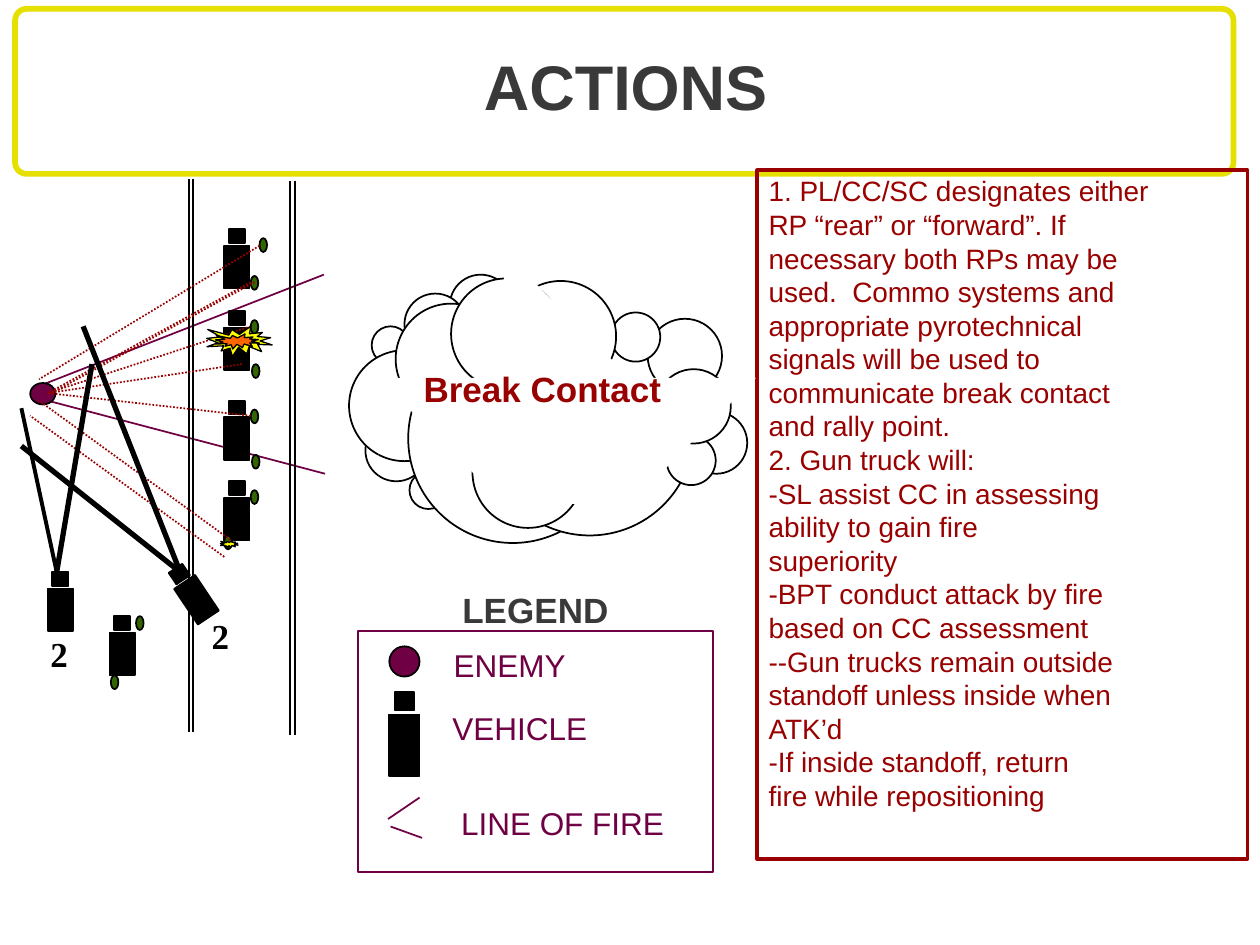
import math

import pptx
import pptx.util
from lxml import etree
from pptx.dml.color import RGBColor
from pptx.enum.dml import MSO_LINE
from pptx.enum.shapes import MSO_CONNECTOR, MSO_SHAPE
from pptx.enum.text import MSO_ANCHOR, MSO_AUTO_SIZE, PP_ALIGN
from pptx.oxml.ns import qn
from pptx.util import Inches, Pt

BLACK, WHITE, GREY = "000000", "FFFFFF", "393939"
PLUM, RED, GREEN = "6E0043", "990000", "336600"
YELLOW, ORANGE, FRAME = "FFFF00", "FF6600", "E5E000"

# Content
title_text = "ACTIONS"
steps = [
    "1. PL/CC/SC designates either", "RP “rear” or “forward”. If",
    "necessary both RPs may be", "used.  Commo systems and",
    "appropriate pyrotechnical", "signals will be used to",
    "communicate break contact", "and rally point.",
    "2. Gun truck will:", "-SL assist CC in assessing",
    "ability to gain fire", "superiority",
    "-BPT conduct attack by fire", "based on CC assessment",
    "--Gun trucks remain outside", "standoff unless inside when",
    "ATK’d", "-If inside standoff, return", "fire while repositioning",
]
# Labels: text, box, size, colour, bold, font
labels = [
    ("ENEMY", (3.5, 5.08, 1.09, 0.4), 18, PLUM, False, "Arial"),
    ("VEHICLE", (3.49, 5.58, 1.27, 0.4), 18, PLUM, False, "Arial"),
    ("LINE OF FIRE", (3.56, 6.33, 1.81, 0.4), 18, PLUM, False, "Arial"),
    ("LEGEND", (3.57, 4.62, 1.36, 0.43), 20, GREY, True, "Arial"),
    ("Break Contact", (3.22, 2.87, 2.17, 0.43), 20, RED, True, "Arial"),
    ("2", (0.3, 4.97, 0.34, 0.44), 20, BLACK, True, "Times New Roman"),
    ("2", (1.58, 4.83, 0.34, 0.44), 20, BLACK, True, "Times New Roman"),
]

# Cloud puffs: left, top, diameter; each fill hides the arcs behind it
back_puffs = [
    (3.57, 2.18, 0.49), (2.95, 2.59, 0.3), (3.25, 3.74, 0.3), (2.9, 3.33, 0.49),
    (3.21, 2.33, 0.49), (5.44, 3.27, 0.49), (2.77, 2.78, 0.88), (3.24, 2.65, 1.66),
]
front_puffs = [
    (3.85, 2.59, 1.66), (5.14, 2.53, 0.59), (5.29, 3.46, 0.39), (4.85, 2.48, 0.39),
    (5.21, 2.93, 0.59), (3.14, 2.41, 0.88), (4.01, 2.23, 0.88), (3.58, 2.21, 0.88),
    (3.75, 3.31, 0.88),
]
left_patch = [(3.28, 3.14), (3.16, 3.61), (3.32, 3.61), (3.33, 3.16)]
centre_patch = [
    (3.54, 2.55), (4, 2.6), (4.4, 2.35), (4.86, 2.64), (4.95, 2.64), (5.2, 2.69),
    (5.3, 2.77), (5.52, 2.9), (5.52, 2.97), (5.47, 3.66), (5.28, 3.82), (4.57, 4.07),
    (4.48, 4), (3.98, 4.1), (3.91, 4.18), (3.33, 3.34),
]

# Convoy: vehicle body centres and rotation, then dismounts
vehicles = [
    (1.88, 2.12, 0), (1.88, 2.77, 0), (1.88, 3.48, 0), (1.88, 4.12, 0),
    (1.56, 4.76, -33.8), (0.97, 5.19, 0), (0.48, 4.84, 0),
]
dismounts = [
    (1.99, 3.89), (1.78, 4.25), (1.99, 3.25), (2, 3.61), (1.99, 2.54),
    (2, 2.89), (2.06, 1.89), (1.99, 2.19), (1.08, 4.89), (0.88, 5.36),
]
road_edges = [(1.5, 1.42), (1.53, 1.42), (2.3, 1.44), (2.34, 1.44)]
road_length = 4.39

# Lines of fire: start x, y, end x, y
enemy_sector = [(0.32, 3.06, 2.57, 2.18), (0.34, 3.17, 2.58, 3.76)]
legend_sector = [(3.33, 6.33, 3.08, 6.5), (3.1, 6.56, 3.35, 6.65)]
enemy_shots = [
    (1.99, 2.24, 0.38, 3.12), (2.06, 1.95, 0.31, 3.01), (1.99, 2.59, 0.38, 3.12),
    (1.92, 2.89, 0.38, 3.12), (1.99, 3.3, 0.38, 3.12), (1.85, 4.3, 0.31, 3.18),
    (2.02, 2.24, 0.41, 3.12), (1.78, 4.42, 0.24, 3.3),
]
gun_truck_fire = [
    (1.43, 4.54, 0.17, 3.54, 3), (1.43, 4.54, 0.66, 2.59, 3),
    (0.45, 4.54, 0.17, 3.24, 2.25), (0.45, 4.54, 0.73, 2.89, 3),
]
blasts = [
    ((1.75, 4.29, 0.14, 0.06), YELLOW),
    ((1.64, 2.59, 0.52, 0.24), YELLOW),
    ((1.71, 2.65, 0.35, 0.12), ORANGE),
]

deck = pptx.Presentation()
deck.slide_width, deck.slide_height = Inches(10), Inches(7.5)
slide = deck.slides.add_slide(deck.slide_layouts[1])


def rgb(code):
    return RGBColor.from_string(code)


def paint(shape, fill=None, line=None, width=1.0):
    shape.shadow.inherit = False
    for part, colour in ((shape.fill, fill), (shape.line.fill, line)):
        if colour:
            part.solid()
            part.fore_color.rgb = rgb(colour)
        else:
            part.background()
    if line:
        shape.line.width = Pt(width)
    return shape


def add(kind, box, fill=None, line=BLACK, width=1.0):
    return paint(slide.shapes.add_shape(kind, *map(Inches, box)), fill, line, width)


def add_line(x1, y1, x2, y2, colour, width=1.0, dotted=False):
    stroke = slide.shapes.add_connector(
        MSO_CONNECTOR.STRAIGHT, *map(Inches, (x1, y1, x2, y2)))
    stroke.line.color.rgb = rgb(colour)
    stroke.line.width = Pt(width)
    if dotted:
        stroke.line.dash_style = MSO_LINE.ROUND_DOT
    etree.SubElement(stroke._element.spPr, qn("a:effectLst"))


def add_patch(points):
    outline = slide.shapes.build_freeform(*points[0], scale=Inches(1))
    outline.add_line_segments(points[1:], close=True)
    paint(outline.convert_to_shape(), WHITE)


def add_vehicle(x, y, turn=0, body=(0.2, 0.34), cab=(0.13, 0.11), reach=0.245):
    angle = math.radians(turn)
    cab_centre = (x + reach * math.sin(angle), y - reach * math.cos(angle))
    for (cx, cy), (w, h) in (((x, y), body), (cab_centre, cab)):
        add(MSO_SHAPE.RECTANGLE, (cx - w / 2, cy - h / 2, w, h), BLACK).rotation = turn


def place(shape, box):
    shape.left, shape.top, shape.width, shape.height = map(Inches, box)


def style(paragraph, size, colour, bold=False, font="Arial", align=PP_ALIGN.CENTER):
    paragraph.alignment = align
    for run in paragraph.runs:
        run.font.size, run.font.bold, run.font.name = Pt(size), bold, font
        run.font.color.rgb = rgb(colour)


# Title and its frame
title = slide.shapes.title
place(title, (2.34, 0.33, 5.25, 0.7))
title.text_frame.text = title_text
title.text_frame.auto_size = MSO_AUTO_SIZE.NONE
style(title.text_frame.paragraphs[0], 36, GREY, True)
frame = add(MSO_SHAPE.ROUNDED_RECTANGLE, (0.12, 0.07, 9.67, 1.31), None, FRAME, 3.25)
frame.adjustments[0] = 0.07

# Steps
body = slide.placeholders[1]
place(body, (6, 1.33, 3.9, 5.47))
body.text_frame.text = "\n".join(steps)
body.text_frame.auto_size = MSO_AUTO_SIZE.NONE
body.text_frame.vertical_anchor = MSO_ANCHOR.TOP
for step in body.text_frame.paragraphs:
    style(step, 16, RED, align=PP_ALIGN.LEFT)
    step.space_before = Pt(0)
    step.line_spacing = Pt(19.2)
    properties = step._p.get_or_add_pPr()
    properties.set("marL", "0")
    properties.set("indent", "0")
    etree.SubElement(properties, qn("a:buNone"))
add(MSO_SHAPE.RECTANGLE, (6.01, 1.35, 3.89, 5.47), None, RED, 2)

# Legend
add(MSO_SHAPE.RECTANGLE, (2.84, 5.01, 2.82, 1.91), None, PLUM)
add(MSO_SHAPE.OVAL, (3.09, 5.13, 0.24, 0.24), PLUM)
add_vehicle(3.21, 5.915, body=(0.24, 0.49), cab=(0.15, 0.15), reach=0.35)
for shot in legend_sector:
    add_line(*shot, PLUM)

# Cloud
for puffs, patch in ((back_puffs, left_patch), (front_puffs, centre_patch)):
    for left, top, size in puffs:
        add(MSO_SHAPE.OVAL, (left, top, size, size), WHITE)
    add_patch(patch)

# Convoy under fire
for shot in enemy_sector:
    add_line(*shot, PLUM)
add(MSO_SHAPE.OVAL, (0.24, 3.04, 0.2, 0.17), PLUM)
for vehicle in vehicles:
    add_vehicle(*vehicle)
for left, top in dismounts:
    add(MSO_SHAPE.OVAL, (left, top, 0.06, 0.11), GREEN)
for x, top in road_edges:
    add_line(x, top, x, top + road_length, BLACK)
for shot in enemy_shots:
    add_line(*shot, RED, dotted=True)
for box, colour in blasts:
    add(MSO_SHAPE.EXPLOSION1, box, colour, width=0.75)
for *shot, width in gun_truck_fire:
    add_line(*shot, BLACK, width)

# Labels
for text, box, size, colour, bold, font in labels:
    label = slide.shapes.add_textbox(*map(Inches, box)).text_frame
    label.word_wrap = False
    label.text = text
    style(label.paragraphs[0], size, colour, bold, font)

deck.save("out.pptx")
